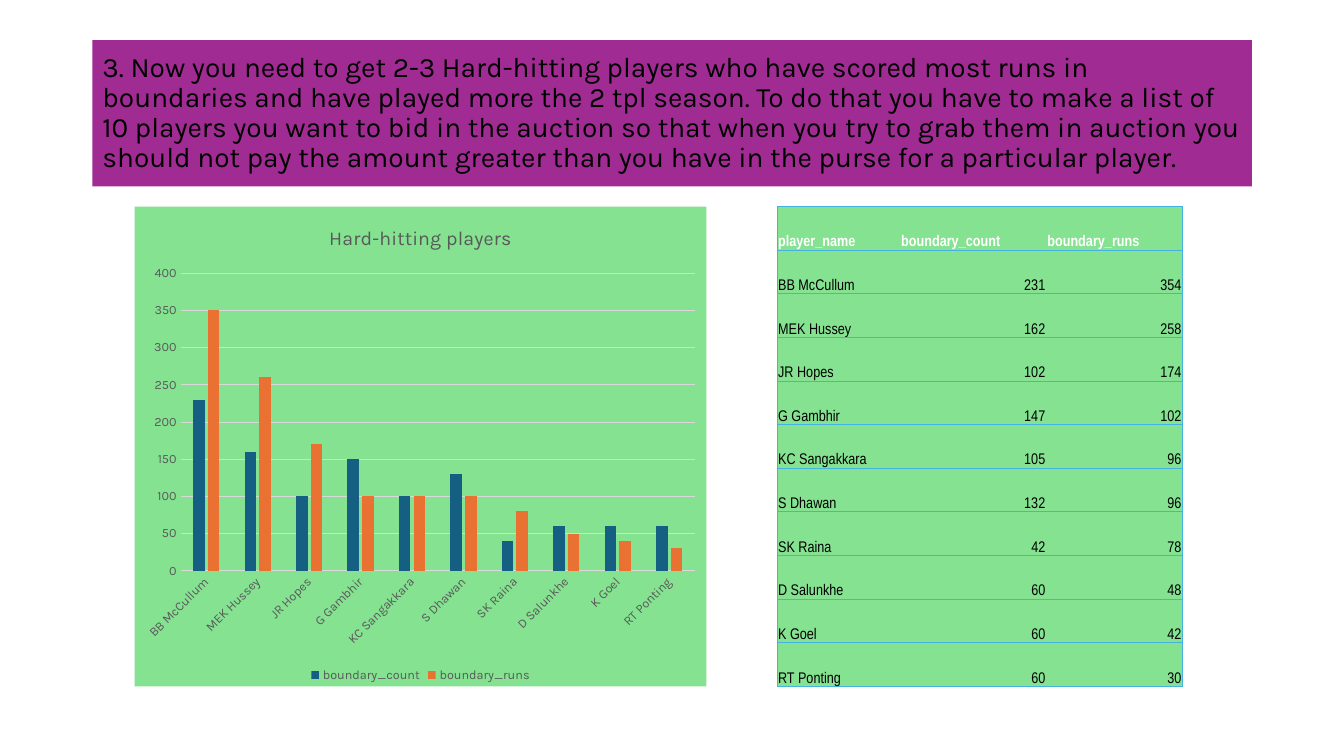
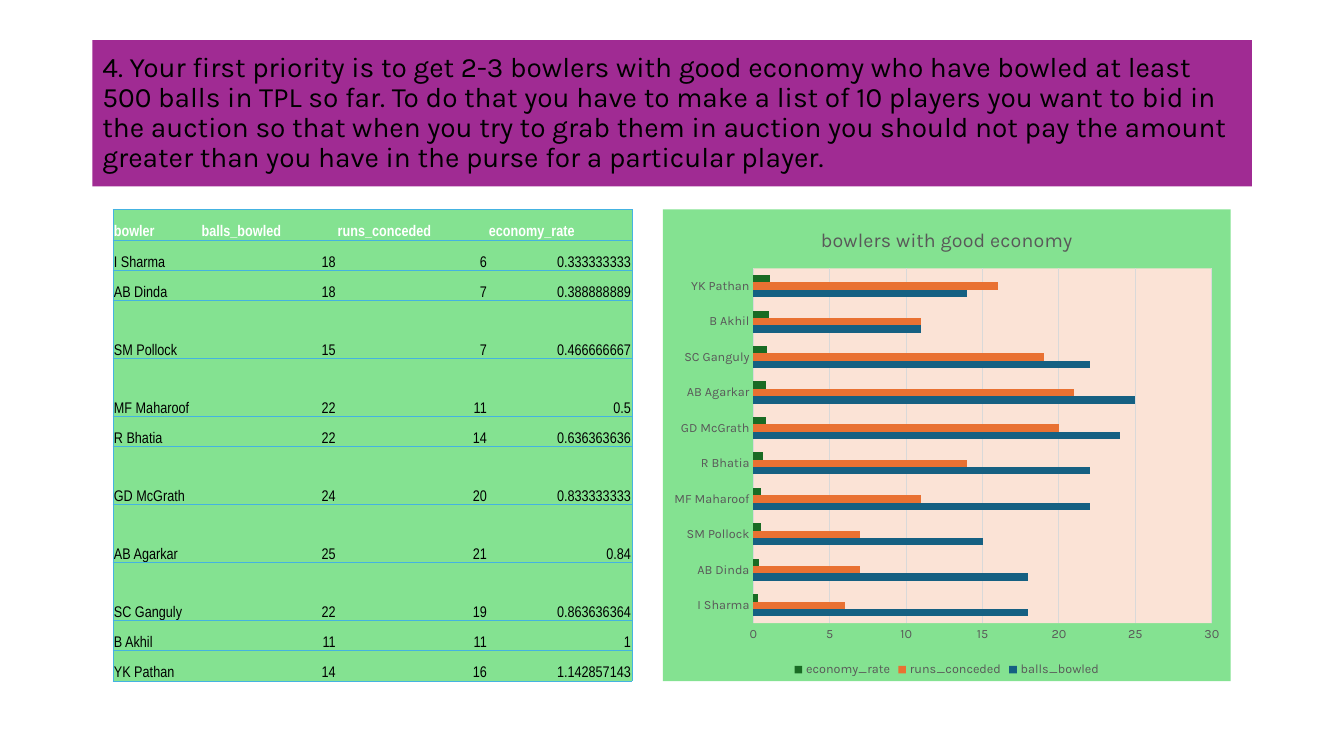
"""Build two auction slides, each pairing a player table with its chart."""
from dataclasses import dataclass
from itertools import accumulate

from lxml import etree
from pptx import Presentation
from pptx import util as u
from pptx.chart.chart import Chart
from pptx.chart.data import CategoryChartData
from pptx.dml.color import RGBColor
from pptx.enum import chart as ch
from pptx.enum import shapes, text
from pptx.oxml import parse_xml
from pptx.oxml.ns import nsdecls, qn
from pptx.slide import Slide
from pptx.text.text import Font

WIDTH, HEIGHT = u.Inches(13.33), u.Inches(7.5)


@dataclass(frozen=True)
class Theme:
    banner: str = "A02B93"
    panel: str = "84E291"
    border: str = "44B3E1"
    grid: str = "D9D9D9"
    ink: str = "000000"
    muted: str = "595959"
    header: str = "FFFFFF"
    series: tuple[str, ...] = ("156082", "E97132", "196B24")
    body_font: str = "Karla"
    table_font: str = "Arial Narrow"
    question_size: float = 20
    chart_title_size: float = 14
    chart_size: float = 10
    table_size: float = 11
    label_size: float = 9
    border_width: float = 0.5
    grid_width: float = 0.75


THEME = Theme()


@dataclass(frozen=True)
class Box:
    """Position and size in percent of the slide."""
    left: float
    top: float
    width: float
    height: float

    def emu(self) -> tuple[int, int, int, int]:
        return (round(WIDTH * self.left / 100), round(HEIGHT * self.top / 100),
                round(WIDTH * self.width / 100), round(HEIGHT * self.height / 100))


@dataclass(frozen=True)
class Roster:
    box: Box
    header: tuple[str, ...]
    players: tuple[tuple[str, ...], ...]
    columns: tuple[float, ...]
    rows: tuple[float, ...]


@dataclass(frozen=True)
class Graph:
    box: Box
    kind: ch.XL_CHART_TYPE
    title: str
    gap: int
    digits: int
    overlap: int = 0
    label_angle: int = 0
    plot_fill: str = ""


@dataclass(frozen=True)
class Topic:
    question: str
    roster: Roster
    graph: Graph


BANNER = Box(6.88, 5.33, 86.27, 19.33)
PURSE_RULE = ("To do that you have to make a list of 10 players you want to bid in the auction "
              "so that when you try to grab them in auction you should not pay the amount "
              "greater than you have in the purse for a particular player.")

HITTERS = Topic(
    "3. Now you need to get 2-3 Hard-hitting players who have scored most runs in boundaries "
    f"and have played more the 2 tpl season. {PURSE_RULE}",
    Roster(
        Box(57.82, 27.31, 30.16, 63.47),
        ("player_name", "boundary_count", "boundary_runs"),
        (
            ("BB McCullum", "231", "354"),
            ("MEK Hussey", "162", "258"),
            ("JR Hopes", "102", "174"),
            ("G Gambhir", "147", "102"),
            ("KC Sangakkara", "105", "96"),
            ("S Dhawan", "132", "96"),
            ("SK Raina", "42", "78"),
            ("D Salunkhe", "60", "48"),
            ("K Goel", "60", "42"),
            ("RT Ponting", "60", "30"),
        ),
        (1.22, 1.45, 1.35),
        (1,) * 11,
    ),
    Graph(Box(10.02, 27.33, 42.54, 63.47), ch.XL_CHART_TYPE.COLUMN_CLUSTERED,
          "Hard-hitting players", gap=219, digits=-1, overlap=-27, label_angle=-45),
)

BOWLERS = Topic(
    "4. Your first priority is to get 2-3 bowlers with good economy who have bowled at least "
    f"500 balls in TPL so far. {PURSE_RULE}",
    Roster(
        Box(8.4, 27.71, 38.63, 62.4),
        ("bowler", "balls_bowled", "runs_conceded", "economy_rate"),
        (
            ("I Sharma", "18", "6", "0.333333333"),
            ("AB Dinda", "18", "7", "0.388888889"),
            ("SM Pollock", "15", "7", "0.466666667"),
            ("MF Maharoof", "22", "11", "0.5"),
            ("R Bhatia", "22", "14", "0.636363636"),
            ("GD McGrath", "24", "20", "0.833333333"),
            ("AB Agarkar", "25", "21", "0.84"),
            ("SC Ganguly", "22", "19", "0.863636364"),
            ("B Akhil", "11", "11", "1"),
            ("YK Pathan", "14", "16", "1.142857143"),
        ),
        (0.87, 1.35, 1.5, 1.43),
        (0.3, 0.3, 0.3, 0.57, 0.57, 0.3, 0.57, 0.57, 0.57, 0.3, 0.3),
    ),
    Graph(Box(49.33, 27.7, 42.24, 62.4), ch.XL_CHART_TYPE.BAR_CLUSTERED,
          "bowlers with good economy", gap=182, digits=1, plot_fill="FBE3D6"),
)


def rgb(color: str) -> RGBColor:
    return RGBColor.from_string(color)


def style_font(font: Font, name: str, size: float, color: str, bold: bool = False) -> None:
    font.name, font.size, font.bold = name, u.Pt(size), bold
    font.color.rgb = rgb(color)


def split(total: int, weights: tuple[float, ...]) -> list[int]:
    """Divide a length in proportion to the weights."""
    edges = [round(total * part / sum(weights)) for part in accumulate(weights, initial=0)]
    return [end - start for start, end in zip(edges, edges[1:])]


def draw_question(slide: Slide, question: str) -> None:
    banner = slide.shapes.add_shape(shapes.MSO_SHAPE.RECTANGLE, *BANNER.emu())
    banner.shadow.inherit = False
    banner.fill.solid()
    banner.fill.fore_color.rgb = rgb(THEME.banner)
    banner.line.fill.background()
    frame = banner.text_frame
    frame.word_wrap = True
    frame.vertical_anchor = text.MSO_ANCHOR.MIDDLE
    frame.text = question
    wording = frame.paragraphs[0]
    wording.alignment = text.PP_ALIGN.LEFT
    wording.line_spacing = 0.9
    style_font(wording.runs[0].font, THEME.body_font, THEME.question_size, THEME.ink)


def border_xml(side: str, visible: bool) -> etree._Element:
    paint = (f'<a:solidFill><a:srgbClr val="{THEME.border}"/></a:solidFill>'
             if visible else "<a:noFill/>")
    return parse_xml(f'<a:{side} {nsdecls("a")} w="{u.Pt(THEME.border_width)}">{paint}</a:{side}>')


def draw_roster(slide: Slide, roster: Roster) -> None:
    records = (roster.header, *roster.players)
    last = len(roster.header) - 1
    left, top, width, height = roster.box.emu()
    table = slide.shapes.add_table(len(records), last + 1, left, top, width, height).table
    for column, size in zip(table.columns, split(width, roster.columns)):
        column.width = size
    for row, size in zip(table.rows, split(height, roster.rows)):
        row.height = size
    for r, record in enumerate(records):
        for c, entry in enumerate(record):
            cell = table.cell(r, c)
            cell.margin_left = cell.margin_top = cell.margin_right = u.Inches(0.01)
            cell.margin_bottom = 0
            cell.vertical_anchor = text.MSO_ANCHOR.BOTTOM
            cell.text = entry
            wording = cell.text_frame.paragraphs[0]
            wording.alignment = text.PP_ALIGN.RIGHT if r and c else text.PP_ALIGN.LEFT
            style_font(wording.runs[0].font, THEME.table_font, THEME.table_size,
                       THEME.ink if r else THEME.header, bold=r == 0)
            sides = {"lnL": c == 0, "lnR": c == last, "lnT": True, "lnB": True}
            properties = cell._tc.get_or_add_tcPr()
            properties.extend(border_xml(side, visible) for side, visible in sides.items())
            cell.fill.solid()
            cell.fill.fore_color.rgb = rgb(THEME.panel)


def area_xml(color: str) -> etree._Element:
    return parse_xml(f'<c:spPr {nsdecls("c", "a")}><a:solidFill><a:srgbClr val="{color}"/>'
                     "</a:solidFill><a:ln><a:noFill/></a:ln></c:spPr>")


def style_axes(chart: Chart, label_angle: int) -> None:
    names, amounts = chart.category_axis, chart.value_axis
    amounts.has_major_gridlines = True
    for axis in (names, amounts):
        axis.major_tick_mark = axis.minor_tick_mark = ch.XL_TICK_MARK.NONE
        style_font(axis.tick_labels.font, THEME.body_font, THEME.label_size, THEME.muted)
    for line in (names.format.line, amounts.major_gridlines.format.line):
        line.color.rgb = rgb(THEME.grid)
        line.width = u.Pt(THEME.grid_width)
    amounts.format.line.fill.background()
    if label_angle:
        names._element.find(f'{qn("c:txPr")}/{qn("a:bodyPr")}').set("rot", str(label_angle * 60000))


def draw_graph(slide: Slide, graph: Graph, roster: Roster) -> None:
    names, *measures = zip(*roster.players)
    data = CategoryChartData()
    data.categories = names
    for label, values in zip(roster.header[1:], measures):
        data.add_series(label, [round(float(value), graph.digits) for value in values])
    chart = slide.shapes.add_chart(graph.kind, *graph.box.emu(), data).chart
    style_font(chart.font, THEME.body_font, THEME.chart_size, THEME.ink)
    chart.has_title = True
    heading = chart.chart_title.text_frame
    heading.text = graph.title
    style_font(heading.paragraphs[0].runs[0].font, THEME.body_font,
               THEME.chart_title_size, THEME.muted)
    chart.chart_title.include_in_layout = False
    chart.has_legend = True
    chart.legend.position = ch.XL_LEGEND_POSITION.BOTTOM
    chart.legend.include_in_layout = False
    style_font(chart.legend.font, THEME.body_font, THEME.label_size, THEME.muted)
    style_axes(chart, graph.label_angle)
    bars = chart.plots[0]
    bars.vary_by_categories = False
    bars.gap_width, bars.overlap = graph.gap, graph.overlap
    for measure, color in zip(bars.series, THEME.series):
        measure.format.fill.solid()
        measure.format.fill.fore_color.rgb = rgb(color)
    body = chart.element.find(qn("c:chart"))
    body.addnext(area_xml(THEME.panel))
    if graph.plot_fill:
        body.find(qn("c:plotArea")).append(area_xml(graph.plot_fill))


def main() -> None:
    deck = Presentation()
    deck.slide_width, deck.slide_height = WIDTH, HEIGHT
    for topic in (HITTERS, BOWLERS):
        slide = deck.slides.add_slide(deck.slide_layouts[6])
        draw_question(slide, topic.question)
        draw_roster(slide, topic.roster)
        draw_graph(slide, topic.graph, topic.roster)
    deck.save("out.pptx")


if __name__ == "__main__":
    main()
